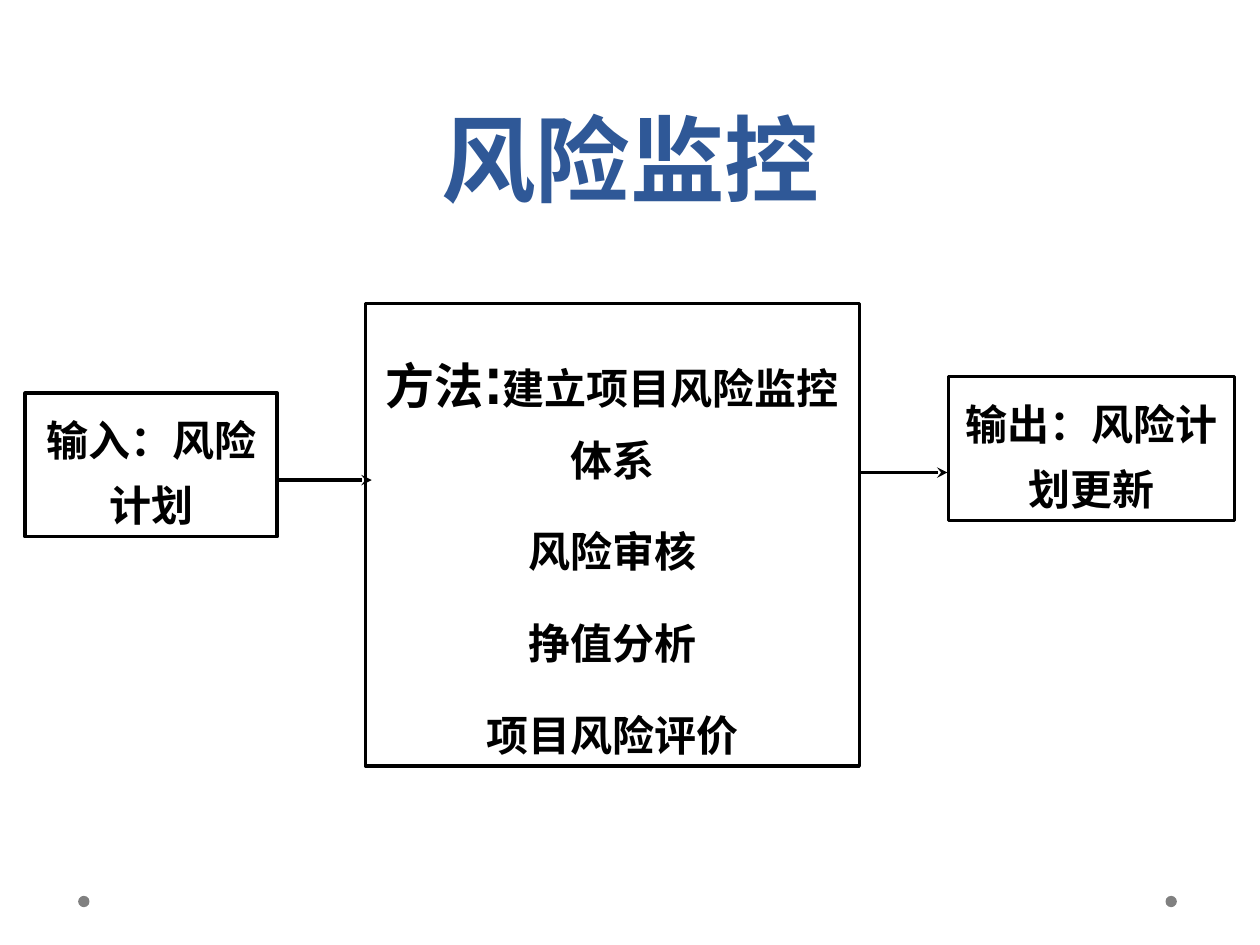
"""Builds the risk monitoring slide: input, methods and output joined by arrows."""
from lxml.etree import SubElement
from pptx import Presentation
from pptx.dml.color import RGBColor
from pptx.enum.shapes import MSO_CONNECTOR, MSO_SHAPE
from pptx.enum.text import MSO_ANCHOR, MSO_AUTO_SIZE, PP_ALIGN
from pptx.oxml.ns import qn
from pptx.util import Inches, Pt

COLORS = {"title": "2F5897", "ink": "000000", "dot": "808080"}


class SlideBuilder:
    title_font = "Lato"
    body_font = "Arial Narrow"
    line_width = Pt(2)

    def __init__(self, slide):
        self.slide = slide

    def color(self, name):
        return RGBColor.from_string(COLORS[name])

    def style_run(self, run, font, size, color):
        run.font.name = font
        run.font.size = Pt(size)
        run.font.bold = True
        run.font.color.rgb = self.color(color)

    def shape(self, kind, left, top, width, height):
        shape = self.slide.shapes.add_shape(
            kind, Inches(left), Inches(top), Inches(width), Inches(height))
        shape.shadow.inherit = False
        return shape

    def title(self, text, left, top, width, height):
        heading = self.slide.shapes.title
        heading.left, heading.top = Inches(left), Inches(top)
        heading.width, heading.height = Inches(width), Inches(height)
        frame = heading.text_frame
        frame.text = text
        frame.auto_size = MSO_AUTO_SIZE.NONE
        frame.vertical_anchor = MSO_ANCHOR.BOTTOM
        paragraph = frame.paragraphs[0]
        paragraph.alignment = PP_ALIGN.CENTER
        paragraph.line_spacing = Pt(58)
        self.style_run(paragraph.runs[0], self.title_font, 54, "title")

    def dot(self, left, top, size):
        dot = self.shape(MSO_SHAPE.OVAL, left, top, size, size)
        dot.fill.solid()
        dot.fill.fore_color.rgb = self.color("dot")
        dot.line.fill.background()

    def box(self, paragraphs, left, top, width, height):
        box = self.shape(MSO_SHAPE.RECTANGLE, left, top, width, height)
        box.fill.background()
        box.line.color.rgb = self.color("ink")
        box.line.width = self.line_width
        frame = box.text_frame
        frame.word_wrap = True
        frame.auto_size = MSO_AUTO_SIZE.SHAPE_TO_FIT_TEXT
        frame.vertical_anchor = MSO_ANCHOR.TOP
        for index, parts in enumerate(paragraphs):
            paragraph = frame.add_paragraph() if index else frame.paragraphs[0]
            paragraph.alignment = PP_ALIGN.CENTER
            paragraph.line_spacing = 1.3
            paragraph.space_before = Pt(15)
            for text, size in parts:
                run = paragraph.add_run()
                run.text = text
                self.style_run(run, self.body_font, size, "ink")

    def arrow(self, start, end, y):
        arrow = self.slide.shapes.add_connector(
            MSO_CONNECTOR.STRAIGHT, Inches(start), Inches(y), Inches(end), Inches(y))
        arrow.line.color.rgb = self.color("ink")
        arrow.line.width = self.line_width
        SubElement(arrow.line._get_or_add_ln(), qn("a:tailEnd"), type="stealth")
        SubElement(arrow._element.spPr, qn("a:effectLst"))


deck = Presentation()
deck.slide_width, deck.slide_height = Inches(10), Inches(7.5)
builder = SlideBuilder(deck.slides.add_slide(deck.slide_layouts[5]))

for dot_left in (9.25, 0.62):
    builder.dot(dot_left, 7.11, 0.09)
builder.title("风险监控", 0.5, 0, 9, 1.75)

methods = [[("方法", 28), (":", 40), ("建立项目风险监控体系", 24)]]
methods[0][1] = (":", 40)
methods += [[(name, 24)] for name in ("风险审核", "挣值分析", "项目风险评价")]
builder.box(methods, 2.9, 2.41, 3.92, 3.67)
builder.box([[("输入：风险计划", 24)]], 0.2, 3.12, 2, 1.14)
builder.box([[("输出：风险计划更新", 24)]], 7.53, 2.99, 2.27, 1.14)

builder.arrow(2.2, 2.95, 3.81)
builder.arrow(6.81, 7.52, 3.75)

deck.save("out.pptx")
